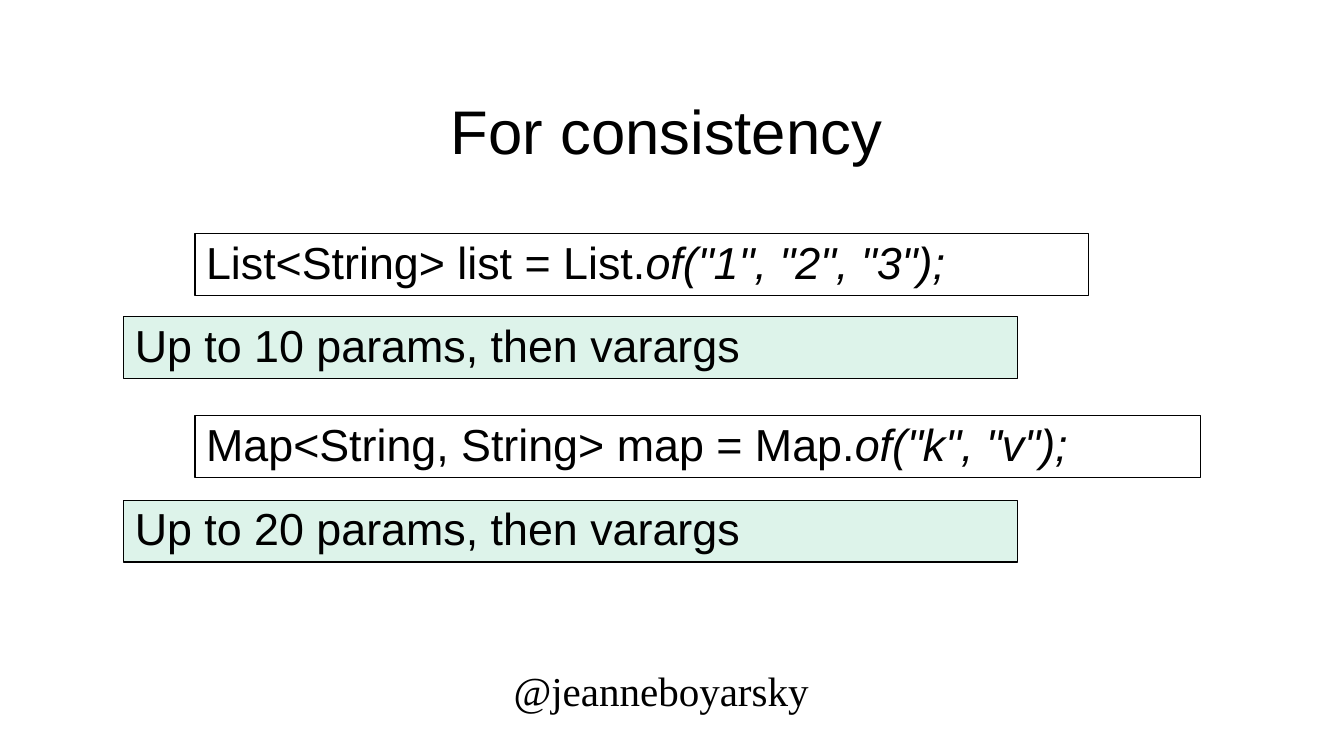
from pptx import Presentation
from pptx.dml.color import RGBColor
from pptx.enum.shapes import MSO_SHAPE
from pptx.enum.text import MSO_ANCHOR, MSO_AUTO_SIZE, PP_ALIGN
from pptx.util import Pt

RECTANGLE = MSO_SHAPE.RECTANGLE
MIDDLE, TOP = MSO_ANCHOR.MIDDLE, MSO_ANCHOR.TOP
CENTER, LEFT = PP_ALIGN.CENTER, PP_ALIGN.LEFT
NO_AUTOSIZE, GROW = MSO_AUTO_SIZE.NONE, MSO_AUTO_SIZE.SHAPE_TO_FIT_TEXT
TITLE_ONLY = 5

BLACK, WHITE, MINT = "000000", "FFFFFF", "DDF3EA"
CODE_LEFT, NOTE_LEFT = 104.4, 66.2
BOX_WIDTH, WIDE_BOX, BOX_HEIGHT = 478.8, 538.6, 33.2


def color(value):
    return RGBColor.from_string(value)


def write(shape, parts, size, font="Arial", align=LEFT, anchor=TOP,
          inset=(0, 0), autosize=NO_AUTOSIZE):
    """Fill a shape with one paragraph; every part after the first is italic."""
    frame = shape.text_frame
    frame.word_wrap = True
    frame.auto_size = autosize
    frame.vertical_anchor = anchor
    frame.margin_left = frame.margin_right = Pt(inset[0])
    frame.margin_top = frame.margin_bottom = Pt(inset[1])
    para = frame.paragraphs[0]
    para.alignment = align
    para.line_spacing = 0.93
    para.space_before = Pt(0)
    for index, part in enumerate(parts):
        span = para.add_run()
        span.text = part
        span.font.name = font
        span.font.size = Pt(size)
        span.font.color.rgb = color(BLACK)
        if index:
            span.font.italic = True


def add_rectangle(page, left, top, width, height, fill=None, line=None):
    box = page.shapes.add_shape(RECTANGLE, Pt(left), Pt(top), Pt(width), Pt(height))
    box.shadow.inherit = False
    if fill:
        box.fill.solid()
        box.fill.fore_color.rgb = color(fill)
    else:
        box.fill.background()
    if line:
        box.line.color.rgb = color(line)
        box.line.width = Pt(0.75)
    else:
        box.line.fill.background()
    return box


def add_title(page, text):
    title = page.shapes.title
    title.left, title.top = Pt(59), Pt(38.2)
    title.width, title.height = Pt(596.2), Pt(67)
    write(title, [text], 33, align=CENTER, anchor=MIDDLE)


def add_line_box(page, left, top, width, parts, fill=None):
    box = add_rectangle(page, left, top, width, BOX_HEIGHT, fill, BLACK)
    write(box, parts, 24, inset=(6, 3), autosize=GROW)


def add_handle(page, text):
    box = add_rectangle(page, 264.2, 358.6, 180, 27.4, WHITE)
    write(box, [text], 22, font="Times New Roman", align=CENTER)


def main():
    deck = Presentation()
    deck.slide_width, deck.slide_height = Pt(720), Pt(405)
    page = deck.slides.add_slide(deck.slide_layouts[TITLE_ONLY])

    # Footer and title
    add_handle(page, "@jeanneboyarsky")
    add_title(page, "For consistency")

    # Code lines, each with its note below
    examples = [
        (125.2, BOX_WIDTH, ["List<String> list = List.", 'of("1", "2", "3");'],
         169.6, "Up to 10 params, then varargs"),
        (222.7, WIDE_BOX, ["Map<String, String> map = Map.", 'of("k", "v");'],
         268, "Up to 20 params, then varargs"),
    ]
    for code_top, code_width, code, note_top, note in examples:
        add_line_box(page, CODE_LEFT, code_top, code_width, code)
        add_line_box(page, NOTE_LEFT, note_top, BOX_WIDTH, [note], MINT)

    deck.save("out.pptx")


if __name__ == "__main__":
    main()
